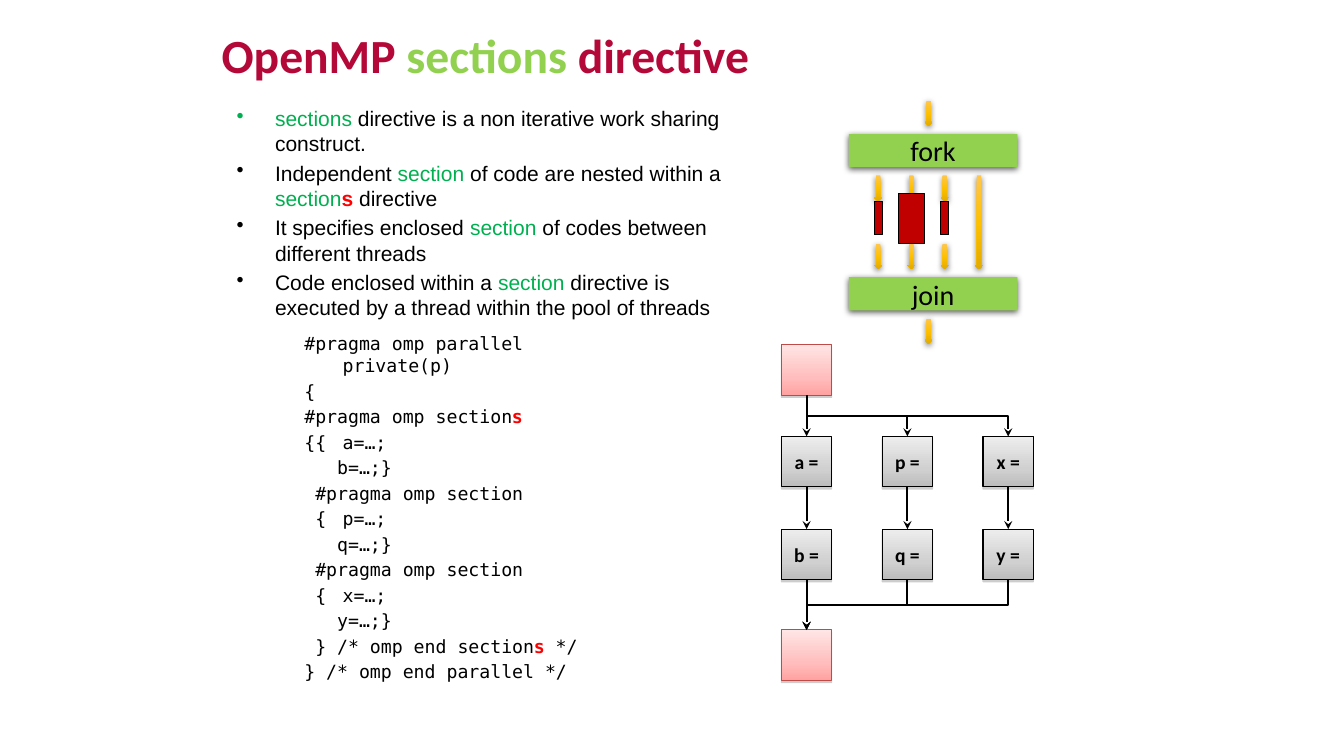
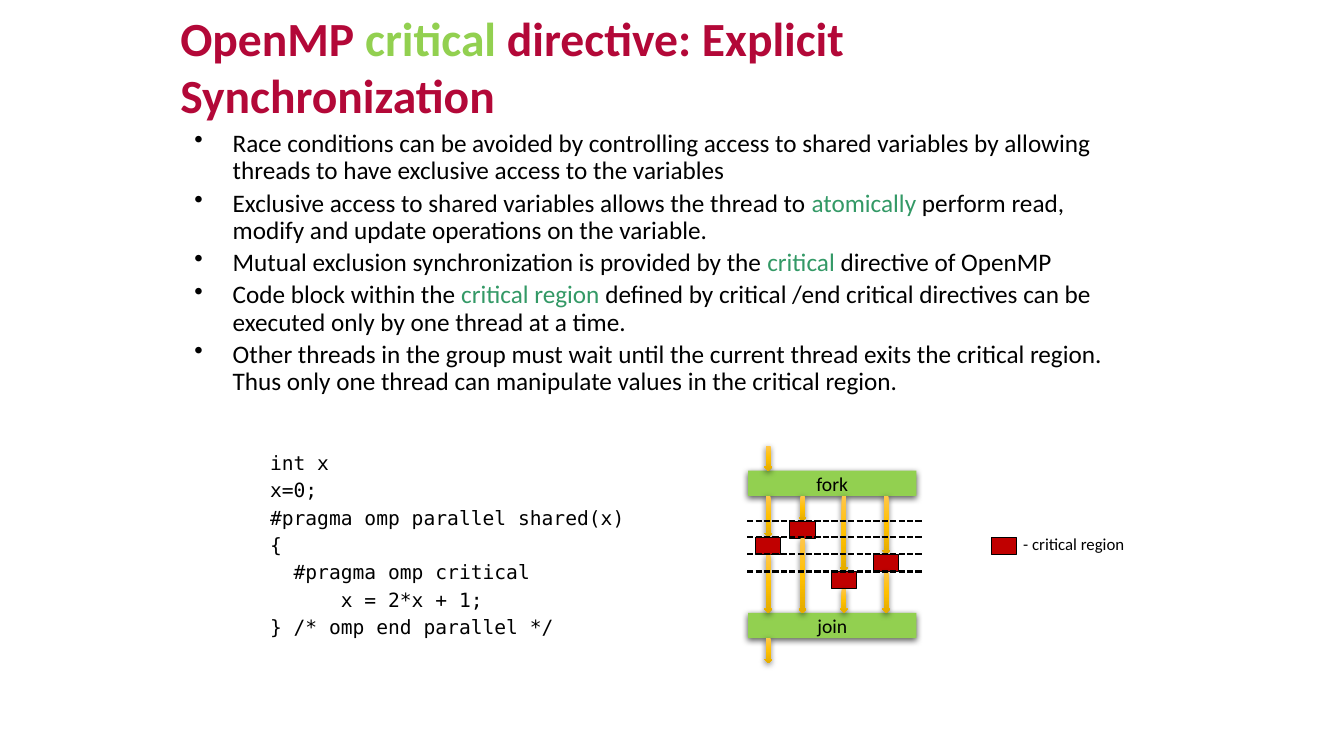
from lxml.etree import SubElement
from pptx import Presentation
from pptx.dml.color import RGBColor
from pptx.enum.dml import MSO_LINE
from pptx.enum.shapes import MSO_CONNECTOR, MSO_SHAPE
from pptx.enum.text import MSO_ANCHOR, PP_ALIGN
from pptx.oxml.ns import qn
from pptx.util import Inches, Pt

BLACK, RED, CRIMSON, LIME = "000000", "FF0000", "B30838", "92D050"
GREEN, TEAL, DARK_RED, ROSE = "00B050", "339966", "C00000", "BE4B48"
GOLD_GRADIENT = [(0, "FFC64B"), (50, "FFC000"), (100, "E3AB00")]
GREY_GRADIENT = [(0, "EDEDED"), (65, "D0D0D0"), (100, "BCBCBC")]
PINK_GRADIENT = [(0, "FFE5E5"), (65, "FFBEBD"), (100, "FFA2A1")]
# Colour, opacity in percent, blur and distance in points
SOFT_SHADOW = (BLACK, 63, 4.5, 1.5)
HARD_SHADOW = ("808080", 38, 0, 1.6)
BODY, SANS, MONO = "Calibri", "Arial", "DejaVu Sans Mono"
INDENT = 0.38
ARROW_WIDTH, ARROW_LENGTH, BAR_WIDTH = 0.08, 0.25, 1.67
NODE = 0.5

# A paragraph is a list of plain strings and (text, colour) pairs
SECTIONS_TITLE = ["OpenMP ", ("sections ", LIME), "directive"]
SECTIONS_BULLETS = [
    [("sections", GREEN), " directive is a non iterative work sharing construct."],
    ["Independent ", ("section", GREEN), " of code are nested within a ",
     ("section", GREEN), ("s", RED), " directive"],
    ["It specifies enclosed ", ("section", GREEN), " of codes between different threads"],
    ["Code enclosed within a ", ("section", GREEN),
     " directive is executed by a thread within the pool of threads"],
]
SECTIONS_CODE = [
    ["#pragma omp parallel private(p)"],
    ["{"],
    ["#pragma omp section", ("s", RED)],
    ["{{\ta=…;"],
    ["   b=…;}"],
    [" #pragma omp section"],
    [" {\tp=…;"],
    ["   q=…;}"],
    [" #pragma omp section"],
    [" {\tx=…;"],
    ["   y=…;}"],
    [" } /* omp end section", ("s", RED), " */"],
    ["} /* omp end parallel */"],
]
TASK_COLUMNS = [("a =", "b ="), ("p =", "q ="), ("x =", "y =")]
# Lane: centre, end of upper arrow, start of lower arrow, box (top, width, height)
SECTIONS_LANES = [
    (8.71, 2, 2.42, (2, 0.08, 0.33)),
    (9.04, 2, 2.42, (1.92, 0.25, 0.5)),
    (9.37, 2, 2.42, (2, 0.08, 0.33)),
    (9.71, None, None, None),
]

CRITICAL_TITLE = ["OpenMP ", ("critical", LIME), " directive: Explicit Synchronization"]
CRITICAL_BULLETS = [
    ["Race conditions can be avoided by controlling access to shared variables by "
     "allowing threads to have exclusive access to the variables"],
    ["Exclusive access to shared variables allows the thread to ", ("atomically", TEAL),
     " perform read, modify and update operations on the variable."],
    ["Mutual exclusion synchronization is provided by the ", ("critical", TEAL),
     " directive of OpenMP"],
    ["Code block within the ", ("critical region", TEAL),
     " defined by critical /end critical directives can be executed only by one thread "
     "at a time."],
    ["Other threads in the group must wait until the current thread exits the critical "
     "region. Thus only one thread can manipulate values in the critical region."],
]
CRITICAL_CODE = [
    ["int x"],
    ["x=0;"],
    ["#pragma omp parallel shared(x)"],
    ["{"],
    ["  #pragma omp critical"],
    ["      x = 2*x + 1;"],
    ["} /* omp end parallel */"],
]
REGION_WIDTH, REGION_HEIGHT = 0.25, 0.17
TURN_TOPS = [5.17, 5.33, 5.5, 5.67]
# Thread centre and its turn in the critical region
CRITICAL_THREADS = [(7.62, 1), (7.96, 0), (8.37, 3), (8.79, 2)]


def rgb(colour):
    return RGBColor.from_string(colour)


def write_paragraph(paragraph, pieces, size, font, colour=BLACK, bold=False):
    paragraph.font.size = Pt(size)
    paragraph.font.name = font
    paragraph.font.bold = bold
    paragraph.font.color.rgb = rgb(colour)
    for piece in pieces:
        text, accent = (piece, None) if isinstance(piece, str) else piece
        run = paragraph.add_run()
        run.text = text
        if accent:
            run.font.color.rgb = rgb(accent)
        if accent == RED:
            run.font.bold = True


def add_text(slide, box, paragraphs, size, font, wrap=True, **style):
    """Add a text box and return its paragraphs."""
    frame = slide.shapes.add_textbox(*map(Inches, box)).text_frame
    frame.word_wrap = wrap
    for index, pieces in enumerate(paragraphs):
        paragraph = frame.add_paragraph() if index else frame.paragraphs[0]
        write_paragraph(paragraph, pieces, size, font, **style)
    return frame.paragraphs


def add_list(slide, box, paragraphs, size, font, bullet=None, line_spacing=None):
    """Add paragraphs with a hanging indent, with or without bullets."""
    for paragraph in add_text(slide, box, paragraphs, size, font):
        paragraph.space_before = Pt(size * 0.2)
        if line_spacing:
            paragraph.line_spacing = line_spacing
        properties = paragraph._p.get_or_add_pPr()
        properties.set("marL", str(Inches(INDENT)))
        properties.set("indent", str(-Inches(INDENT)))
        if bullet:
            mark = properties.makeelement(qn("a:buChar"), {"char": bullet})
            properties.find(qn("a:defRPr")).addprevious(mark)


def add_colour(parent, colour, opacity=100):
    element = SubElement(parent, qn("a:srgbClr"), val=colour)
    if opacity < 100:
        SubElement(element, qn("a:alpha"), val=str(opacity * 1000))


def fill_shape(shape, fill):
    """Fill with one colour, or from top to bottom with (percent, colour) stops."""
    if isinstance(fill, str):
        shape.fill.solid()
        shape.fill.fore_color.rgb = rgb(fill)
        return
    shape.fill.gradient()
    shape.fill.gradient_angle = 270
    stops = shape._element.spPr.find(".//" + qn("a:gsLst"))
    for stop in list(stops):
        stops.remove(stop)
    for percent, colour in fill:
        add_colour(SubElement(stops, qn("a:gs"), pos=str(percent * 1000)), colour)


def add_shape(slide, kind, box, fill, line=None, shadow=None, label="", size=14, bold=False):
    shape = slide.shapes.add_shape(kind, *map(Inches, box))
    fill_shape(shape, fill)
    if line:
        shape.line.color.rgb = rgb(line)
        shape.line.width = Pt(0.75)
    else:
        shape.line.fill.background()
    shape.shadow.inherit = False
    if shadow:
        colour, opacity, blur, distance = shadow
        effects = shape._element.spPr.find(qn("a:effectLst"))
        outer = SubElement(effects, qn("a:outerShdw"), blurRad=str(Pt(blur)),
                           dist=str(Pt(distance)), dir="5400000", rotWithShape="0")
        add_colour(outer, colour, opacity)
    if label:
        frame = shape.text_frame
        frame.margin_left = frame.margin_right = frame.margin_top = frame.margin_bottom = 0
        frame.vertical_anchor = MSO_ANCHOR.MIDDLE
        frame.paragraphs[0].alignment = PP_ALIGN.CENTER
        write_paragraph(frame.paragraphs[0], [label], size, BODY, bold=bold)
    return shape


def add_line(slide, kind, ends):
    connector = slide.shapes.add_connector(kind, *map(Inches, ends))
    connector.line.color.rgb = rgb(BLACK)
    connector.line.width = Pt(1.5)
    SubElement(connector._element.spPr, qn("a:effectLst"))
    return connector


def connect_down(slide, upper, lower):
    """Join the bottom of one shape to the top of another with an arrow."""
    start_x, end_x = (shape.left + shape.width // 2 for shape in (upper, lower))
    start_y, end_y = upper.top + upper.height, lower.top
    straight = start_x == end_x
    kind = MSO_CONNECTOR.STRAIGHT if straight else MSO_CONNECTOR.ELBOW
    connector = add_line(slide, kind, (0, 0, 0, 0))
    connector.begin_connect(upper, 2)
    connector.end_connect(lower, 0)
    if not straight:
        # A vertical elbow is a horizontal one turned about its centre
        connector.width, connector.height = end_y - start_y, abs(end_x - start_x)
        connector.left = (start_x + end_x - connector.width) // 2
        connector.top = (start_y + end_y - connector.height) // 2
        transform = connector._element.spPr.find(qn("a:xfrm"))
        rightward = end_x > start_x
        transform.set("rot", "16200000" if rightward else "5400000")
        transform.set("flipH", "1" if rightward else "0")
        transform.set("flipV", "0")
    SubElement(connector.line._get_or_add_ln(), qn("a:tailEnd"), type="stealth")


def add_thread(slide, centre, top, bottom):
    box = (centre - ARROW_WIDTH / 2, top, ARROW_WIDTH, bottom - top)
    add_shape(slide, MSO_SHAPE.DOWN_ARROW, box, GOLD_GRADIENT, shadow=SOFT_SHADOW)


def add_region(slide, left, top, width, height):
    add_shape(slide, MSO_SHAPE.RECTANGLE, (left, top, width, height), DARK_RED, BLACK)


def add_fork_join(slide, left, fork_top, join_top, bar_height, size, gap, main_x, lanes):
    """Draw both bars, the main thread at main_x and the lanes between the bars."""
    for label, top in (("fork", fork_top), ("join", join_top)):
        add_shape(slide, MSO_SHAPE.RECTANGLE, (left, top, BAR_WIDTH, bar_height), LIME,
                  shadow=SOFT_SHADOW, label=label, size=size)
    lane_top, lane_bottom = fork_top + bar_height + gap, join_top - gap
    for centre, upper_end, lower_start, region in lanes:
        add_thread(slide, centre, lane_top, upper_end or lane_bottom)
        if region:
            top, width, height = region
            add_region(slide, centre - width / 2, top, width, height)
            add_thread(slide, centre, lower_start, lane_bottom)
    after_join = join_top + bar_height + gap
    add_thread(slide, main_x, fork_top - gap - ARROW_LENGTH, fork_top - gap)
    add_thread(slide, main_x, after_join, after_join + ARROW_LENGTH)


def add_task_graph(slide, left, start_top, row_tops, end_top):
    start, end = (
        add_shape(slide, MSO_SHAPE.RECTANGLE, (left, top, NODE, NODE), PINK_GRADIENT,
                  ROSE, HARD_SHADOW)
        for top in (start_top, end_top))
    for column, labels in enumerate(TASK_COLUMNS):
        first, second = (
            add_shape(slide, MSO_SHAPE.RECTANGLE, (left + column, top, NODE, NODE),
                      GREY_GRADIENT, BLACK, HARD_SHADOW, label, bold=True)
            for label, top in zip(labels, row_tops))
        for upper, lower in ((start, first), (first, second), (second, end)):
            connect_down(slide, upper, lower)


def add_slide(presentation, title, title_box):
    slide = presentation.slides.add_slide(presentation.slide_layouts[6])
    add_text(slide, title_box, [title], 34, BODY, colour=CRIMSON, bold=True)
    return slide


def build_sections_slide(presentation):
    slide = add_slide(presentation, SECTIONS_TITLE, (2.1, 0.21, 9.14, 0.61))
    add_list(slide, (2.25, 1, 5.17, 2.25), SECTIONS_BULLETS, 15, SANS, bullet="•")
    add_list(slide, (2.92, 3.25, 3.42, 3.58), SECTIONS_CODE, 13, MONO)
    add_task_graph(slide, 7.75, 3.42, (4.33, 5.25), 6.25)
    add_fork_join(slide, 8.42, 1.33, 2.75, 0.33, 20, 0.08, 9.21, SECTIONS_LANES)


def build_critical_slide(presentation):
    slide = add_slide(presentation, CRITICAL_TITLE, (1.69, 0.04, 9.82, 0.61))
    add_list(slide, (1.83, 1.25, 9.33, 3.33), CRITICAL_BULLETS, 18, BODY,
             bullet="•", line_spacing=0.9)
    add_list(slide, (2.58, 4.42, 3.83, 2.08), CRITICAL_CODE, 14, MONO)
    lanes = []
    for centre, turn in CRITICAL_THREADS:
        top = TURN_TOPS[turn]
        lanes.append((centre, top, top + REGION_HEIGHT, (top, REGION_WIDTH, REGION_HEIGHT)))
    add_fork_join(slide, 7.42, 4.67, 6.08, 0.25, 14, 0, lanes[0][0], lanes)
    for top in TURN_TOPS:
        line = add_line(slide, MSO_CONNECTOR.STRAIGHT, (7.41, top, 9.16, top))
        line.line.dash_style = MSO_LINE.SQUARE_DOT
    add_region(slide, 9.83, 5.33, REGION_WIDTH, REGION_HEIGHT)
    legend = add_text(slide, (10.04, 5.25, 1.22, 0.3), [["- critical region"]], 12, BODY,
                      wrap=False)
    legend[0].alignment = PP_ALIGN.CENTER


def main():
    presentation = Presentation()
    presentation.slide_width, presentation.slide_height = Inches(13.33), Inches(7.5)
    build_sections_slide(presentation)
    build_critical_slide(presentation)
    presentation.save("out.pptx")


if __name__ == "__main__":
    main()
